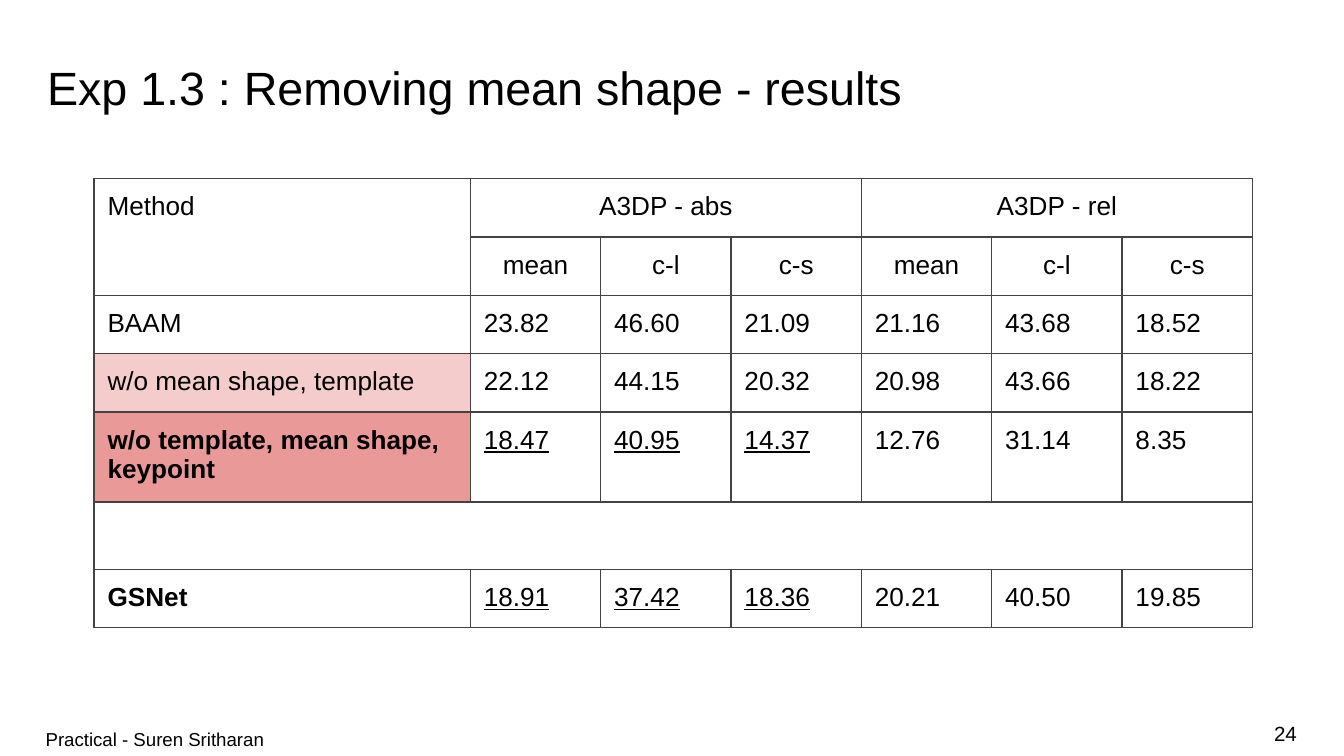
from lxml import etree
from pptx import Presentation
from pptx.dml.color import RGBColor
from pptx.enum.text import MSO_ANCHOR, PP_ALIGN
from pptx.oxml.ns import qn
from pptx.util import Inches, Pt

LEFT, CENTER, RIGHT = PP_ALIGN.LEFT, PP_ALIGN.CENTER, PP_ALIGN.RIGHT
TOP, MIDDLE = MSO_ANCHOR.TOP, MSO_ANCHOR.MIDDLE

# Content
TITLE = "Exp 1.3 : Removing mean shape - results"
FOOTER = "Practical - Suren Sritharan"
PAGE_NUMBER = "24"
METRIC_GROUPS = ["A3DP - abs", "A3DP - rel"]
METRICS = ["mean", "c-l", "c-s"]
RESULTS = [
    ["BAAM", "23.82", "46.60", "21.09", "21.16", "43.68", "18.52"],
    ["w/o mean shape, template", "22.12", "44.15", "20.32", "20.98", "43.66", "18.22"],
    ["w/o template, mean shape, keypoint", "18.47", "40.95", "14.37", "12.76", "31.14", "8.35"],
    [],
    ["GSNet", "18.91", "37.42", "18.36", "20.21", "40.50", "19.85"],
]
COMPARED_ROWS = {4, 6}  # bold method name, underlined absolute scores
METHOD_FILLS = {3: "light_red", 4: "red", 5: "white", 6: "white"}

THEME = {
    "font": "Arial", "text": "000000", "white": "FFFFFF", "border": "434343",
    "light_red": "F4CCCC", "red": "EA9999",
    "title_size": 25, "table_size": 14, "page_size": 11, "footer_size": 10,
}

# Layout, in inches
SLIDE_WIDTH = 10
SLIDE_HEIGHT = SLIDE_WIDTH * 9 / 16
TABLE_LEFT, TABLE_TOP = 0.7, 1.33
COLUMN_WIDTHS = [2.8] + [0.97] * 6
ROW_HEIGHTS = [0.43] * 4 + [0.67, 0.5, 0.43]
CELL_MARGIN = 0.1
BORDER_WIDTH = 0.75


def color(name):
    return RGBColor.from_string(THEME[name])


def write(text_frame, text, size, align=LEFT, bold=False, underline=False):
    paragraph = text_frame.paragraphs[0]
    paragraph.alignment = align
    run = paragraph.add_run()
    run.text = text
    font = run.font
    font.name, font.size = THEME["font"], Pt(THEME[size])
    font.bold, font.underline = bold, underline
    font.color.rgb = color("text")
    return paragraph


def add_text(slide, box, text, size, align=LEFT, anchor=MIDDLE, inset=0.05, spacing=1.0):
    text_frame = slide.shapes.add_textbox(*map(Inches, box)).text_frame
    text_frame.word_wrap = True
    text_frame.vertical_anchor = anchor
    text_frame.margin_left = text_frame.margin_right = 0
    text_frame.margin_top = text_frame.margin_bottom = Inches(inset)
    write(text_frame, text, size, align).line_spacing = spacing


def style_cell(cell):
    cell.margin_left = cell.margin_right = Inches(CELL_MARGIN)
    cell.margin_top = cell.margin_bottom = Inches(CELL_MARGIN)
    properties = cell._tc.get_or_add_tcPr()
    for side in ("a:lnL", "a:lnR", "a:lnT", "a:lnB"):
        line = etree.SubElement(properties, qn(side), w=str(Pt(BORDER_WIDTH)))
        fill = etree.SubElement(line, qn("a:solidFill"))
        etree.SubElement(fill, qn("a:srgbClr"), val=THEME["border"])
    cell.fill.background()


def add_results_table(slide):
    size = (sum(COLUMN_WIDTHS), sum(ROW_HEIGHTS))
    table = slide.shapes.add_table(
        len(ROW_HEIGHTS), len(COLUMN_WIDTHS),
        *map(Inches, (TABLE_LEFT, TABLE_TOP, *size))).table
    table.first_row = table.horz_banding = False
    for column, width in zip(table.columns, COLUMN_WIDTHS):
        column.width = Inches(width)
    for row, height in zip(table.rows, ROW_HEIGHTS):
        row.height = Inches(height)
    for cell in table.iter_cells():
        style_cell(cell)

    # Two header rows
    table.cell(0, 0).merge(table.cell(1, 0))
    write(table.cell(0, 0).text_frame, "Method", "table_size")
    for group_index, group in enumerate(METRIC_GROUPS):
        first = 1 + group_index * len(METRICS)
        table.cell(0, first).merge(table.cell(0, first + len(METRICS) - 1))
        write(table.cell(0, first).text_frame, group, "table_size", CENTER)
        for column, metric in enumerate(METRICS, first):
            write(table.cell(1, column).text_frame, metric, "table_size", CENTER)

    # Result rows; an empty one becomes a full-width separator
    for row, values in enumerate(RESULTS, 2):
        if not values:
            table.cell(row, 0).merge(table.cell(row, len(COLUMN_WIDTHS) - 1))
        for column, value in enumerate(values):
            compared = row in COMPARED_ROWS
            write(table.cell(row, column).text_frame, value, "table_size",
                  bold=compared and column == 0,
                  underline=compared and 1 <= column <= len(METRICS))
    for row, fill in METHOD_FILLS.items():
        cell = table.cell(row, 0)
        cell.fill.solid()
        cell.fill.fore_color.rgb = color(fill)


def main():
    presentation = Presentation()
    presentation.slide_width = Inches(SLIDE_WIDTH)
    presentation.slide_height = Inches(SLIDE_HEIGHT)
    slide = presentation.slides.add_slide(presentation.slide_layouts[6])
    slide.background.fill.solid()
    slide.background.fill.fore_color.rgb = color("white")

    # Title, table, footer
    add_text(slide, (0.35, 0.32, 9.31, 0.42), TITLE, "title_size",
             anchor=TOP, inset=0, spacing=1.28)
    add_results_table(slide)
    add_text(slide, (7.41, 5.31, 2.24, 0.3), PAGE_NUMBER, "page_size", RIGHT)
    add_text(slide, (0.34, 5.31, 7.07, 0.3), FOOTER, "footer_size", spacing=1.5)

    presentation.save("out.pptx")


if __name__ == "__main__":
    main()
